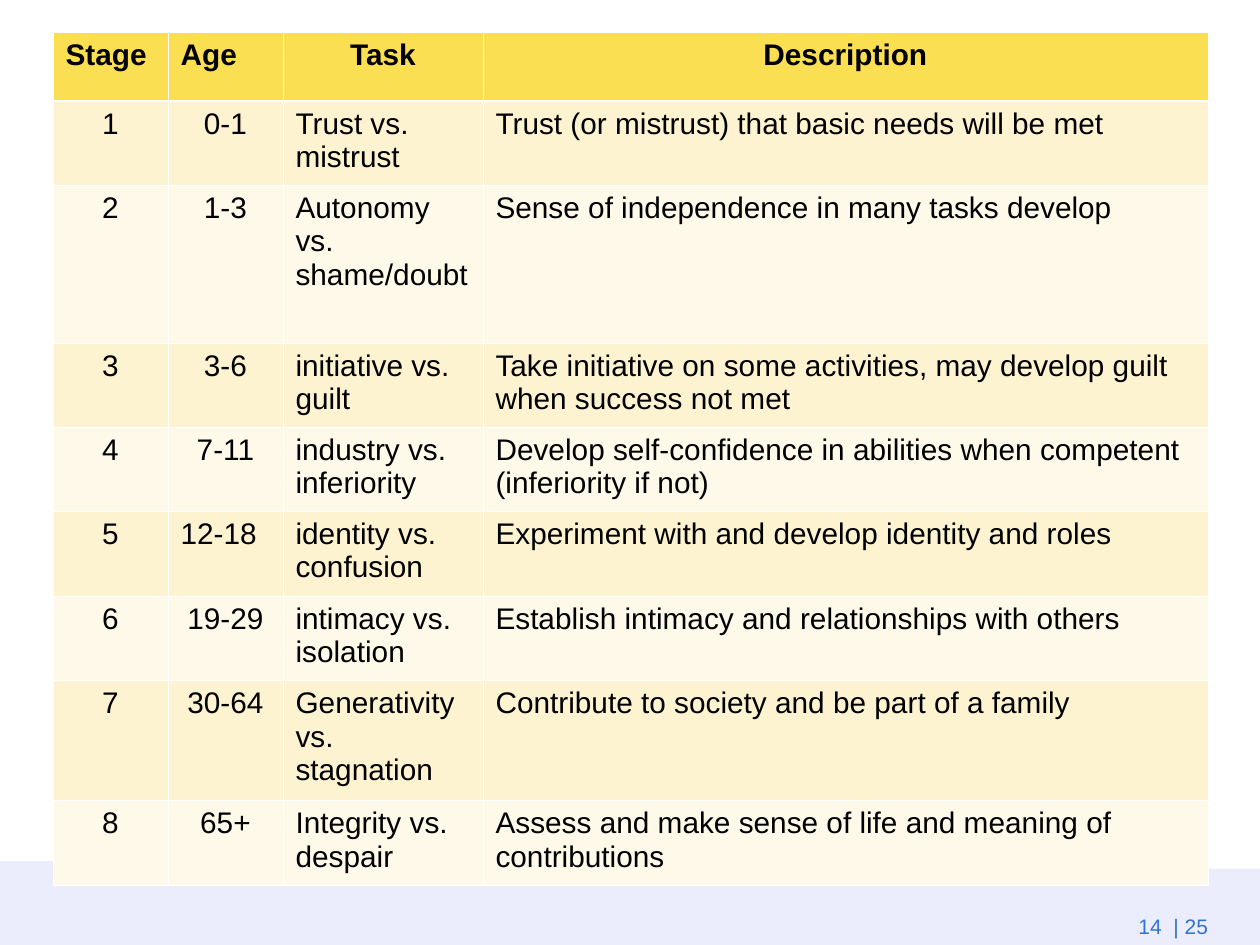
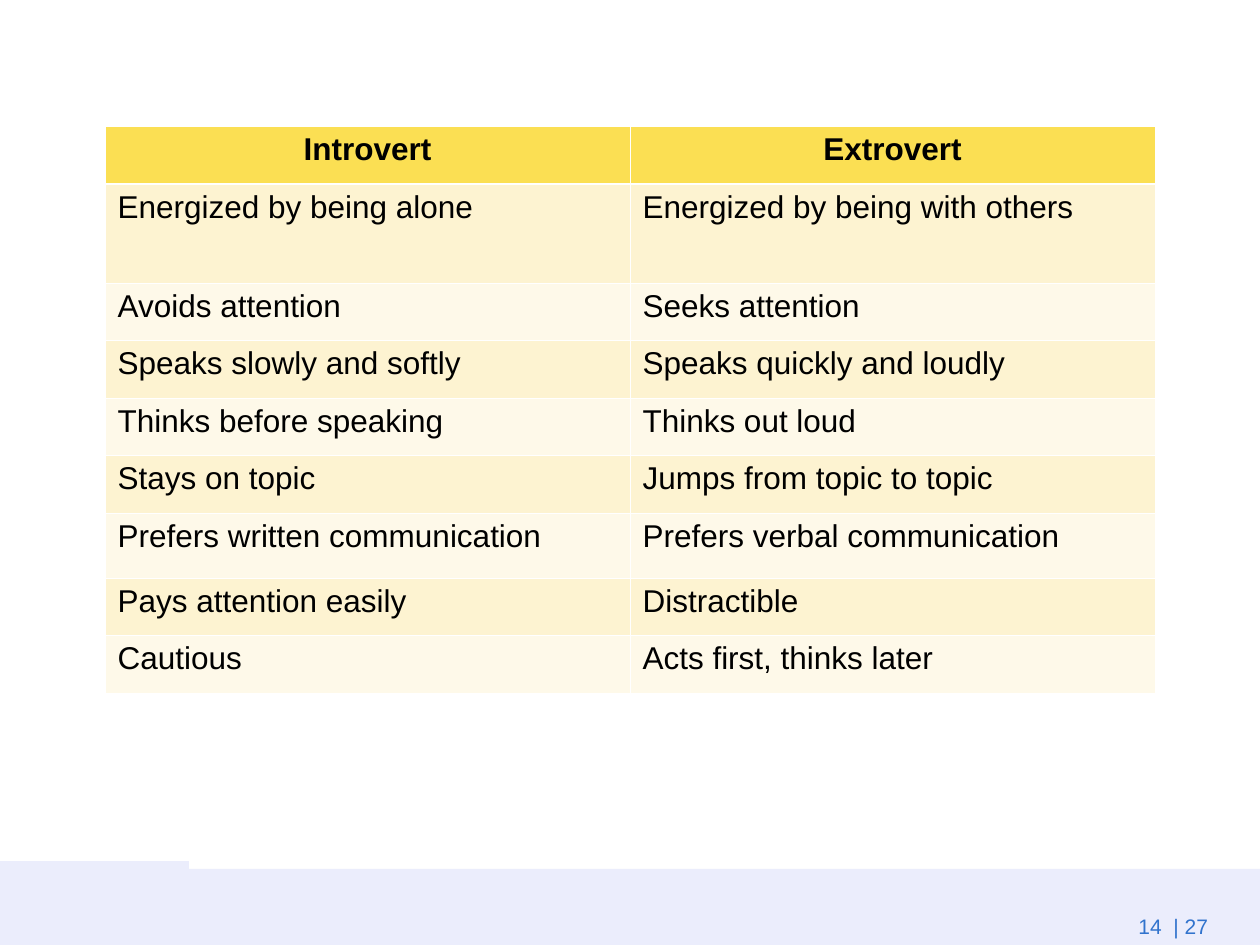
from dataclasses import dataclass

from lxml import etree
from pptx import Presentation
from pptx.dml.color import RGBColor
from pptx.enum.shapes import MSO_SHAPE
from pptx.enum.text import PP_ALIGN
from pptx.oxml.ns import qn
from pptx.util import Emu, Pt

RECTANGLE = MSO_SHAPE.RECTANGLE
LEFT, CENTER = PP_ALIGN.LEFT, PP_ALIGN.CENTER
EMU_PER_PX = 914400 / 126
BLANK_LAYOUT = 6


@dataclass(frozen=True)
class Theme:
    font: str = "Arial"
    ink: str = "000000"
    footer_ink: str = "3173CD"
    band: str = "EBEDFC"
    header: str = "FBDF53"
    odd_row: str = "FDF3D1"
    even_row: str = "FEF9E9"
    rule: str = "FFFFFF"
    thin: float = 0.45
    thick: float = 1.47
    footer_size: int = 12
    stages_size: int = 17
    traits_size: int = 18


THEME = Theme()

# Content of the two tables
STAGES = [
    ("Stage", "Age", "Task", "Description"),
    ("1", "0-1", "Trust vs. mistrust",
     "Trust (or mistrust) that basic needs will be met"),
    ("2", "1-3", "Autonomy vs. shame/doubt",
     "Sense of independence in many tasks develop"),
    ("3", "3-6", "initiative vs. guilt",
     "Take initiative on some activities, may develop guilt when success not met"),
    ("4", "7-11", "industry vs. inferiority",
     "Develop self-confidence in abilities when competent (inferiority if not)"),
    ("5", "12-18", "identity vs. confusion",
     "Experiment with and develop identity and roles"),
    ("6", "19-29", "intimacy vs. isolation",
     "Establish intimacy and relationships with others"),
    ("7", "30-64", "Generativity vs. stagnation",
     "Contribute to society and be part of a family"),
    ("8", "65+", "Integrity vs. despair",
     "Assess and make sense of life and meaning of contributions"),
]
TRAITS = [
    ("Introvert", "Extrovert"),
    ("Energized by being alone", "Energized by being with others"),
    ("Avoids attention", "Seeks attention"),
    ("Speaks slowly and softly", "Speaks quickly and loudly"),
    ("Thinks before speaking", "Thinks out loud"),
    ("Stays on topic", "Jumps from topic to topic"),
    ("Prefers written communication", "Prefers verbal communication"),
    ("Pays attention easily", "Distractible"),
    ("Cautious", "Acts first, thinks later"),
]


def px(length):
    return Emu(round(length * EMU_PER_PX))


def color(value):
    return RGBColor.from_string(value)


def add_run(paragraph, text, size, ink, bold=False):
    run = paragraph.add_run()
    run.text = text
    run.font.name = THEME.font
    run.font.size = Pt(size)
    run.font.bold = bold
    run.font.color.rgb = color(ink)


# Bands and page number shared by every slide
def add_band(slide, left, top, width, height):
    band = slide.shapes.add_shape(
        RECTANGLE, px(left), px(top), px(width), px(height))
    band.shadow.inherit = False
    band.fill.solid()
    band.fill.fore_color.rgb = color(THEME.band)
    band.line.fill.background()


def add_page(deck, page_number):
    slide = deck.slides.add_slide(deck.slide_layouts[BLANK_LAYOUT])
    add_band(slide, 0, 861, 189, 84)
    add_band(slide, 179, 869, 1081, 76)
    footer = slide.shapes.add_textbox(px(1126), px(907), px(110), px(38))
    footer.text_frame.word_wrap = True
    add_run(footer.text_frame.paragraphs[0], page_number,
            THEME.footer_size, THEME.footer_ink)
    return slide


# Tables
def set_borders(cell, top, bottom):
    properties = cell._tc.get_or_add_tcPr()
    widths = {"a:lnL": THEME.thin, "a:lnR": THEME.thin,
              "a:lnT": top, "a:lnB": bottom}
    for edge, width in widths.items():
        line = etree.SubElement(properties, qn(edge), w=str(Pt(width)))
        fill = etree.SubElement(line, qn("a:solidFill"))
        etree.SubElement(fill, qn("a:srgbClr"), val=THEME.rule)


def row_color(row):
    if row == 0:
        return THEME.header
    return THEME.odd_row if row % 2 else THEME.even_row


def add_banded_table(slide, left, top, widths, heights, rows, size, alignment):
    table = slide.shapes.add_table(
        len(rows), len(widths), px(left), px(top),
        px(sum(widths)), px(sum(heights))).table
    table.horz_banding = False
    for column, width in zip(table.columns, widths):
        column.width = px(width)
    for row, (texts, height) in enumerate(zip(rows, heights)):
        table.rows[row].height = px(height)
        for column, text in enumerate(texts):
            cell = table.cell(row, column)
            set_borders(cell,
                        top=THEME.thick if row == 1 else THEME.thin,
                        bottom=THEME.thick if row == 0 else THEME.thin)
            cell.fill.solid()
            cell.fill.fore_color.rgb = color(row_color(row))
            paragraph = cell.text_frame.paragraphs[0]
            paragraph.alignment = alignment(row, column)
            add_run(paragraph, text, size, THEME.ink, bold=row == 0)


def stage_alignment(row, column):
    if row == 0:
        return CENTER if column >= 2 else LEFT
    if STAGES[row][column] == "12-18":
        return LEFT
    return CENTER if column < 2 else LEFT


def trait_alignment(row, column):
    return CENTER if row == 0 else LEFT


def main():
    deck = Presentation()
    deck.slide_width, deck.slide_height = px(1260), px(945)

    # Stages of development
    add_banded_table(
        add_page(deck, "14  | 25"), 53, 32, [115, 115, 200, 725],
        [69, 84, 158, 84, 84, 85, 84, 120, 85],
        STAGES, THEME.stages_size, stage_alignment)

    # Introvert and extrovert traits
    add_banded_table(
        add_page(deck, "14  | 27"), 105, 126, [525, 525],
        [58, 99, 57, 58, 57, 58, 65, 57, 58],
        TRAITS, THEME.traits_size, trait_alignment)

    deck.save("out.pptx")


if __name__ == "__main__":
    main()
